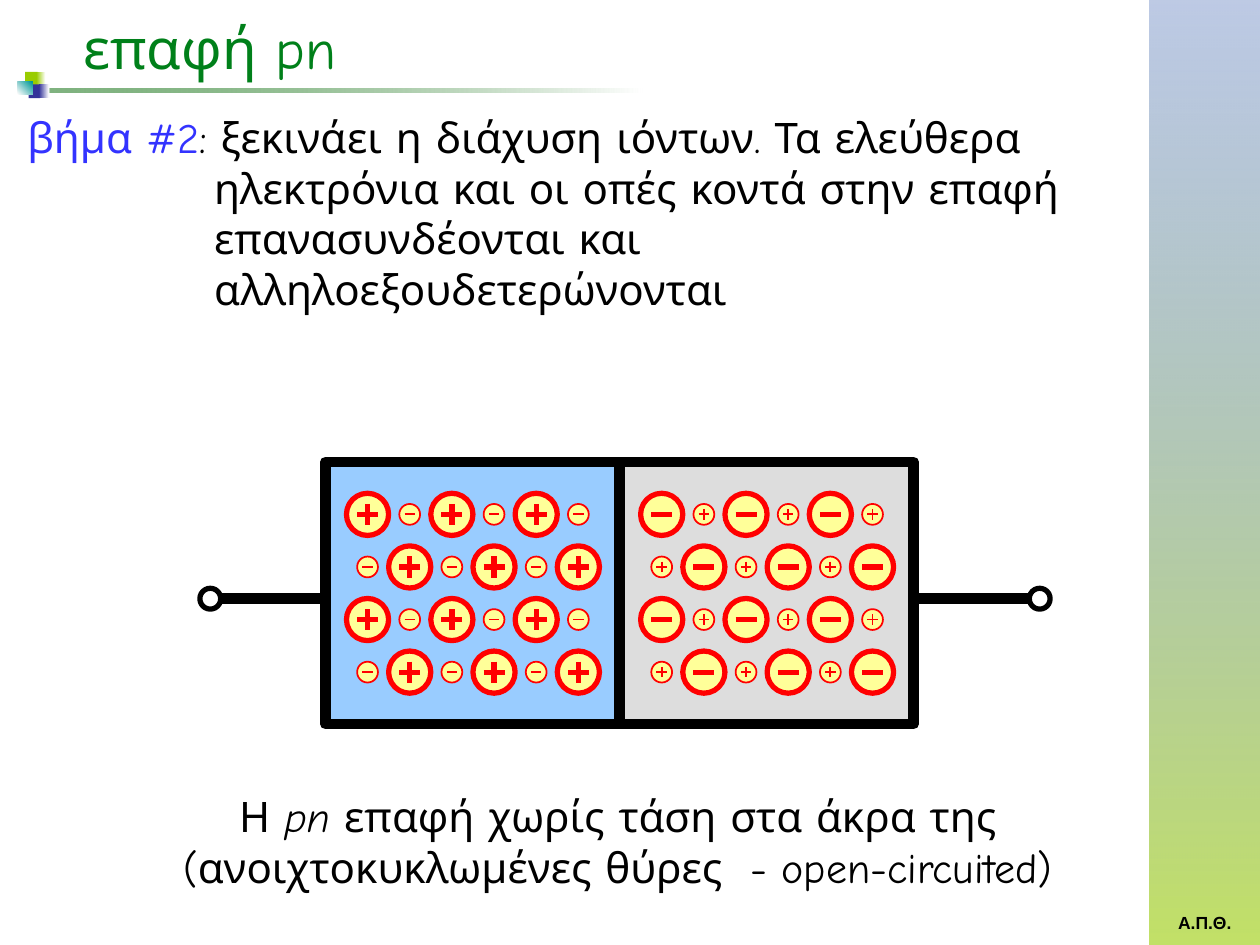
from dataclasses import dataclass
from itertools import product

from lxml.etree import SubElement
from pptx import Presentation
from pptx.dml.color import RGBColor
from pptx.enum.shapes import MSO_CONNECTOR, MSO_SHAPE
from pptx.enum.text import MSO_ANCHOR, MSO_AUTO_SIZE, PP_ALIGN
from pptx.oxml.ns import qn
from pptx.util import Cm, Pt


@dataclass(frozen=True)
class Theme:
    font: str = "Comic Neue"
    label_font: str = "Arial"
    title_size: int = 32
    text_size: int = 24
    label_size: int = 10
    black: str = "000000"
    white: str = "FFFFFF"
    title: str = "00801A"
    step: str = "3333FF"
    n_side: str = "99CCFF"
    p_side: str = "DDDDDD"
    ion: str = "FFFF99"
    charge: str = "FF0000"
    rule: str = "006600"
    navy: str = "003399"
    lime: str = "99CC00"
    indigo: str = "333399"
    teal: str = "009999"
    thick: int = 6
    medium: int = 3
    thin: int = 1


class SlideBuilder:
    def __init__(self, slide, theme):
        self.s = slide
        self.theme = theme

    def shape(self, box, fill, kind=MSO_SHAPE.RECTANGLE, line=None, width=0, parent=None):
        sp = (parent or self.s).shapes.add_shape(kind, *map(Cm, box))
        sp.shadow.inherit = False
        sp.fill.solid()
        sp.fill.fore_color.rgb = RGBColor.from_string(fill)
        if line:
            sp.line.color.rgb = RGBColor.from_string(line)
            sp.line.width = Pt(width)
        else:
            sp.line.fill.background()
        return sp

    def gradient(self, box, colors, angle=0, alphas=(100, 100), parent=None):
        """Draw a two-stop gradient box; the angle is clockwise, alphas are percent."""
        sp = self.shape(box, colors[0], parent=parent)
        sp.fill.gradient()
        sp.fill.gradient_angle = (360 - angle) % 360
        for stop, color, position in zip(sp.fill.gradient_stops, colors, (0, 1)):
            stop.color.rgb = RGBColor.from_string(color)
            stop.position = position
        grad = sp._element.spPr.find(qn("a:gradFill"))
        for clr, alpha in zip(grad.iter(qn("a:srgbClr")), alphas):
            if alpha < 100:
                SubElement(clr, qn("a:alpha"), val=str(alpha * 1000))

    def circle(self, cx, cy, d, fill, line, width, parent=None):
        box = (cx - d / 2, cy - d / 2, d, d)
        return self.shape(box, fill, MSO_SHAPE.OVAL, line, width, parent)

    def line(self, start, end, color, width, parent=None):
        c = (parent or self.s).shapes.add_connector(
            MSO_CONNECTOR.STRAIGHT, *map(Cm, (*start, *end)))
        c.line.color.rgb = RGBColor.from_string(color)
        c.line.width = Pt(width)
        SubElement(c._element.spPr, qn("a:effectLst"))

    def ion(self, cx, cy, large, positive):
        t = self.theme
        d, width = (0.85, t.medium) if large else (0.42, t.thin)
        arm = d / 4
        group = self.s.shapes.add_group_shape()
        self.circle(cx, cy, d, t.ion, t.charge, width, group)
        self.line((cx - arm, cy), (cx + arm, cy), t.charge, width, group)
        if positive:
            self.line((cx, cy - arm), (cx, cy + arm), t.charge, width, group)

    def lattice(self, left, top, large_positive):
        """Alternate large fixed ions with small carriers of opposite charge."""
        for row, col in product(range(4), range(6)):
            large = (row + col) % 2 == 0
            self.ion(left + 0.85 * col, top + 1.06 * row, large, large == large_positive)

    def text(self, sp, box, runs, size, font=None, bold=None, align=PP_ALIGN.LEFT,
             anchor=MSO_ANCHOR.TOP, fit=MSO_AUTO_SIZE.SHAPE_TO_FIT_TEXT):
        """Place one paragraph; runs are (text, color, italic)."""
        sp.left, sp.top, sp.width, sp.height = map(Cm, box)
        tf = sp.text_frame
        tf.word_wrap = True
        tf.auto_size = fit
        tf.vertical_anchor = anchor
        p = tf.paragraphs[0]
        p.alignment = align
        p.space_before = Pt(0)
        for text, color, italic in runs:
            r = p.add_run()
            r.text = text
            r.font.name = font or self.theme.font
            r.font.size = Pt(size)
            r.font.bold = bold
            r.font.italic = italic
            r.font.color.rgb = RGBColor.from_string(color)
        return p

    def title(self, box, text):
        self.text(self.s.shapes.title, box, [(text, self.theme.title, None)],
                  self.theme.title_size, anchor=MSO_ANCHOR.MIDDLE)

    def body(self, box, runs, hanging):
        p = self.text(self.s.placeholders[1], box, runs, self.theme.text_size,
                      fit=MSO_AUTO_SIZE.NONE)
        pPr = p._p.get_or_add_pPr()
        pPr.set("marL", str(Cm(hanging)))
        pPr.set("indent", str(-Cm(hanging)))
        SubElement(pPr, qn("a:buNone"))

    def text_box(self, box, runs, size, **style):
        sp = self.s.shapes.add_textbox(*map(Cm, box))
        self.text(sp, box, runs, size, **style)


def add_decoration(b):
    t = b.theme
    b.gradient((0.79, 1.78, 12.17, 0.08), (t.rule, t.white), alphas=(50, 100))
    b.gradient((23.18, 0, 2.22, 19.05), (t.navy, t.lime), 90, (26, 60))
    b.text_box((23.5, 18.26, 1.78, 0.69), [("Α.Π.Θ.", t.black, None)],
               t.label_size, font=t.label_font, bold=True)
    group = b.s.shapes.add_group_shape()
    b.shape((0.51, 1.45, 0.25, 0.28), t.lime, parent=group)
    b.gradient((0.74, 1.45, 0.18, 0.28), (t.lime, t.white), parent=group)
    b.shape((0.58, 1.7, 0.23, 0.28), t.indigo, parent=group)
    b.gradient((0.79, 1.7, 0.2, 0.28), (t.indigo, t.white), parent=group)
    b.gradient((0.36, 1.65, 0.3, 0.25), (t.white, t.teal), 315, parent=group)


def add_junction(b):
    t = b.theme
    ends, lead_y = (4.24, 20.96), 12.07
    b.line((ends[0], lead_y), (ends[1], lead_y), t.black, t.thick)
    for x in ends:
        b.circle(x, lead_y, 0.42, t.white, t.black, t.medium)
    width = 5.93
    for i, fill in enumerate((t.n_side, t.p_side)):
        left = 6.56 + width * i
        b.shape((left, 9.31, width, 5.29), fill, line=t.black, width=t.thick)
        b.lattice(left + 0.85, 10.37, large_positive=i == 0)


def main():
    prs = Presentation()
    prs.slide_width, prs.slide_height = Cm(25.4), Cm(19.05)
    t = Theme()
    b = SlideBuilder(prs.slides.add_slide(prs.slide_layouts[1]), t)
    add_decoration(b)
    add_junction(b)
    b.body((0.3, 2.13, 23.19, 3.61), [
        ("βήμα #2", t.step, None),
        (": ξεκινάει η διάχυση ιόντων. Τα ελεύθερα ηλεκτρόνια και οι οπές κοντά "
         "στην επαφή επανασυνδέονται και αλληλοεξουδετερώνονται", t.black, None),
    ], hanging=3.76)
    b.title((1.42, 0.13, 21.29, 1.63), "επαφή pn")
    b.text_box((1.42, 15.82, 22.07, 2.31), [
        ("Η ", t.black, None),
        ("pn ", t.black, True),
        ("επαφή χωρίς τάση στα άκρα της (ανοιχτοκυκλωμένες θύρες  - open-circuited)",
         t.black, None),
    ], t.text_size, align=PP_ALIGN.CENTER)
    prs.save("out.pptx")


if __name__ == "__main__":
    main()
